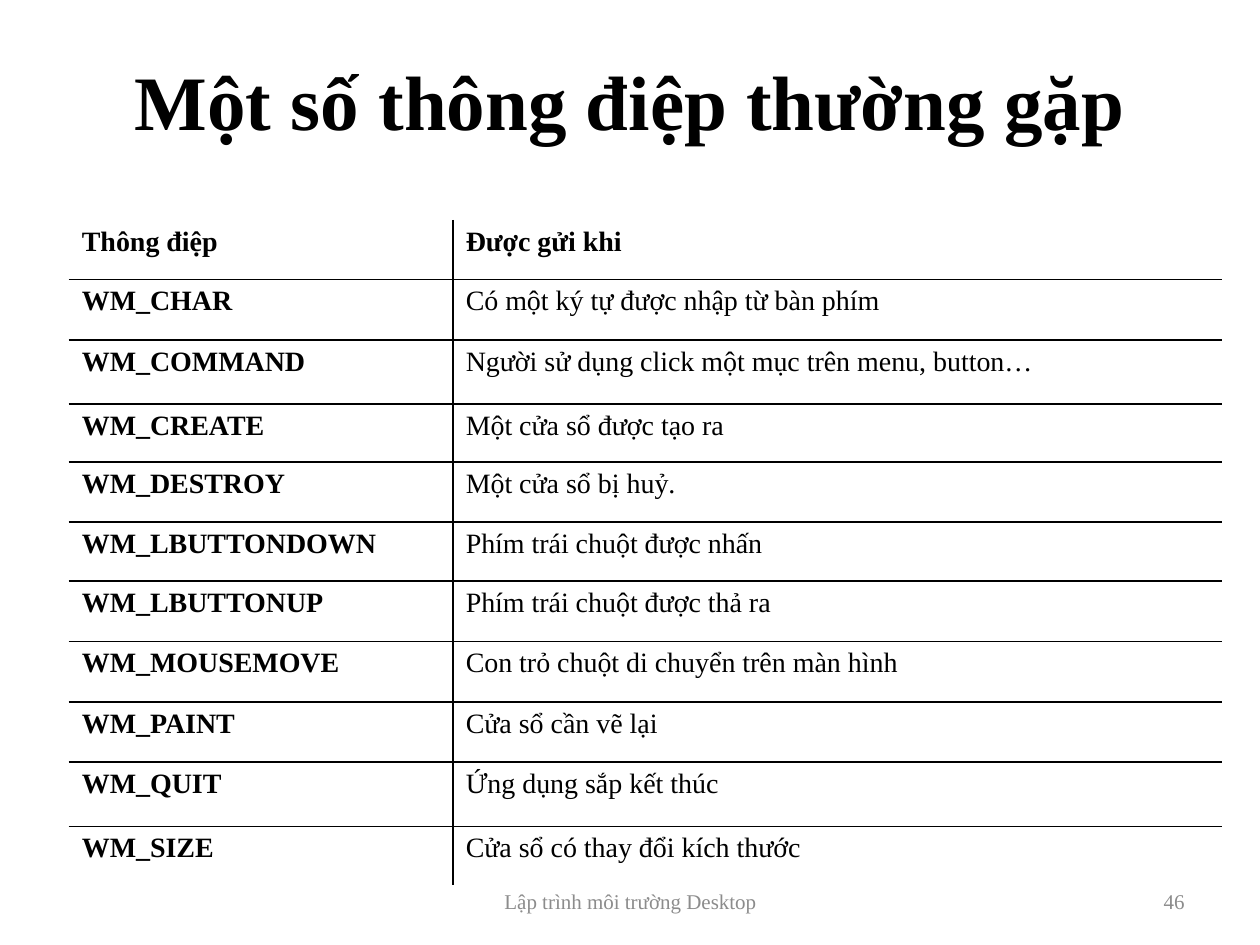
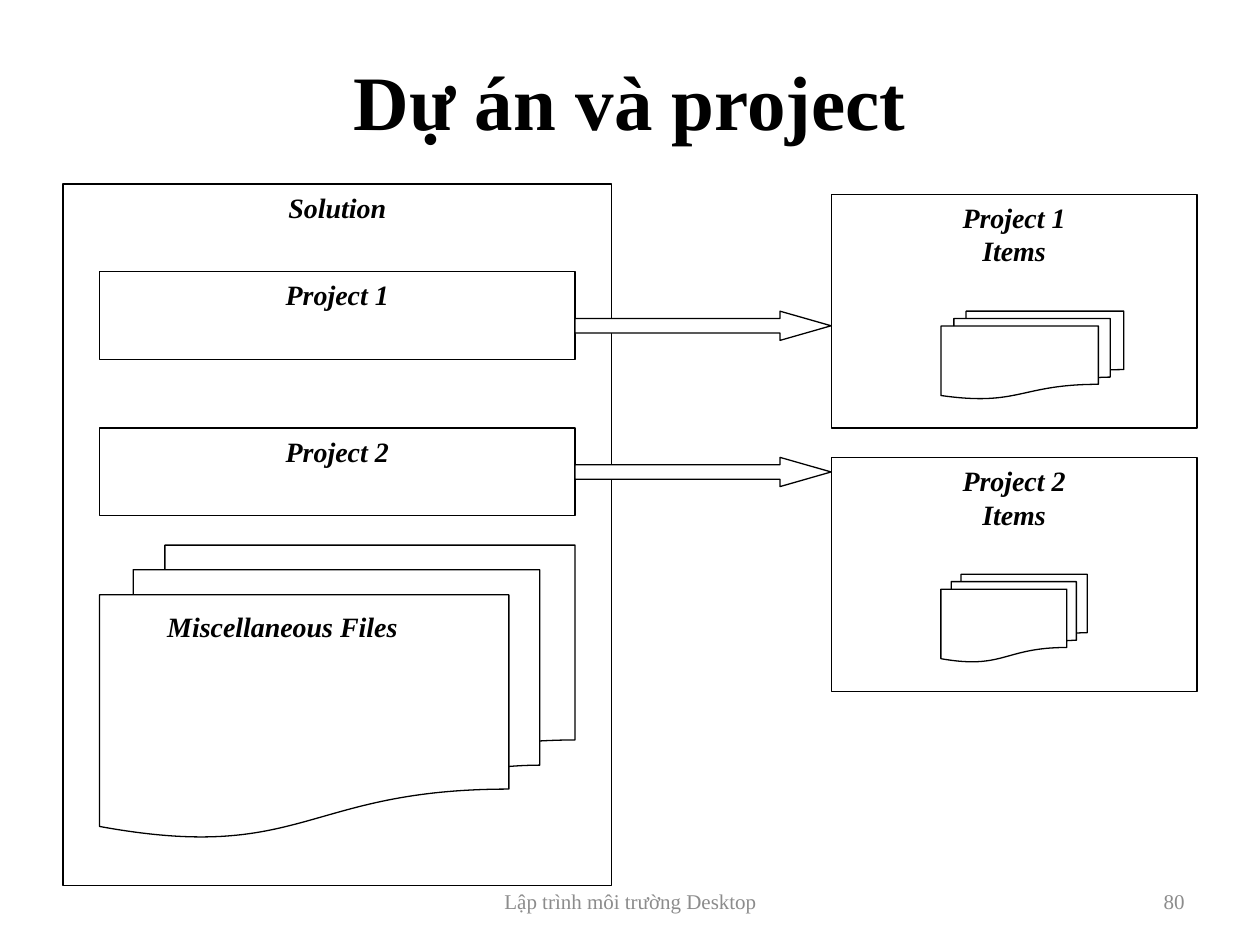
from dataclasses import dataclass

import pptx
import pptx.dml.color
import pptx.enum.shapes
import pptx.enum.text
import pptx.oxml
import pptx.oxml.ns
import pptx.util

SHAPE = pptx.enum.shapes.MSO_SHAPE
ALIGN = pptx.enum.text.PP_ALIGN
ANCHOR = pptx.enum.text.MSO_ANCHOR


@dataclass(frozen=True)
class Theme:
    font: str = "Times New Roman"
    ink: str = "000000"
    paper: str = "FFFFFF"
    muted: str = "8C8C8C"
    title_size: float = 44
    body_size: float = 16
    footer_size: float = 12
    outline: float = 0.75
    rule: float = 1


THEME = Theme()


@dataclass(frozen=True)
class Box:
    """A rectangle in inches, divided into columns and rows."""
    left: float
    top: float
    width: float
    height: float
    columns: float = 1
    rows: float = 1

    def area(self, column, row, across, down, columns=None, rows=None):
        unit_x, unit_y = self.width / self.columns, self.height / self.rows
        return Box(self.left + column * unit_x, self.top + row * unit_y,
                   across * unit_x, down * unit_y, columns or across, rows or down)

    def place(self):
        return [pptx.util.Inches(length)
                for length in (self.left, self.top, self.width, self.height)]


PAGE = Box(0, 0, 10, 7.5, columns=100, rows=75)
TITLE_BOX = PAGE.area(5, 1.7, 90, 12.5)
FOOTER_BOX = PAGE.area(34.2, 69.5, 31.7, 4)
NUMBER_BOX = PAGE.area(71.7, 69.5, 23.3, 4)
TABLE_BOX = PAGE.area(5.5, 17.5, 91.4, 52.8)
DIAGRAM_BOX = PAGE.area(5, 14.6, 90, 55.7, columns=31, rows=24)

FOOTER = "Lập trình môi trường Desktop"
COLUMN_SHARES = [1, 2]
MESSAGES = [  # row height share, message, when it is sent
    (47, "Thông điệp", "Được gửi khi"),
    (48, "WM_CHAR", "Có một ký tự được nhập từ bàn phím"),
    (51, "WM_COMMAND", "Người sử dụng click một mục trên menu, button…"),
    (46, "WM_CREATE", "Một cửa sổ được tạo ra"),
    (48, "WM_DESTROY", "Một cửa sổ bị huỷ."),
    (47, "WM_LBUTTONDOWN", "Phím trái chuột được nhấn"),
    (48, "WM_LBUTTONUP", "Phím trái chuột được thả ra"),
    (48, "WM_MOUSEMOVE", "Con trỏ chuột di chuyển trên màn hình"),
    (48, "WM_PAINT", "Cửa sổ cần vẽ lại"),
    (51, "WM_QUIT", "Ứng dụng sắp kết thúc"),
    (47, "WM_SIZE", "Cửa sổ có thay đổi kích thước"),
]


def rgb(value):
    return pptx.dml.color.RGBColor.from_string(value)


def write(frame, text, size=THEME.body_size, color=THEME.ink, bold=False,
          italic=False, align=ALIGN.CENTER, anchor=ANCHOR.TOP):
    """Fill a text frame, one paragraph for each line of text."""
    frame.word_wrap = True
    frame.vertical_anchor = anchor
    frame.text = text
    for paragraph in frame.paragraphs:
        paragraph.alignment = align
        font = paragraph.font
        font.name, font.size = THEME.font, pptx.util.Pt(size)
        font.bold, font.italic = bold, italic
        font.color.rgb = rgb(color)


def add_text(slide, box, text, **text_format):
    write(slide.shapes.add_textbox(*box.place()).text_frame, text, **text_format)


def add_outlined(slide, kind, box, label=""):
    shape = slide.shapes.add_shape(kind, *box.place())
    shape.shadow.inherit = False
    shape.fill.solid()
    shape.fill.fore_color.rgb = rgb(THEME.paper)
    shape.line.color.rgb = rgb(THEME.ink)
    shape.line.width = pptx.util.Pt(THEME.outline)
    if label:
        write(shape.text_frame, label, bold=True, italic=True)
    return shape


def add_slide(presentation, title, number):
    """Slide with the shared title and footer."""
    slide = presentation.slides.add_slide(presentation.slide_layouts[5])
    heading = slide.shapes.title
    heading.left, heading.top, heading.width, heading.height = TITLE_BOX.place()
    write(heading.text_frame, title, size=THEME.title_size, bold=True,
          anchor=ANCHOR.MIDDLE)
    for box, text, align in ((FOOTER_BOX, FOOTER, ALIGN.CENTER),
                             (NUMBER_BOX, str(number), ALIGN.RIGHT)):
        add_text(slide, box, text, size=THEME.footer_size, color=THEME.muted,
                 align=align, anchor=ANCHOR.MIDDLE)
    return slide


def rule_cell(cell, sides):
    """Draw rules on the named sides: L, R, T, B in that order."""
    properties = cell._tc.get_or_add_tcPr()
    for position, side in enumerate(sides):
        properties.insert(position, pptx.oxml.parse_xml(
            f'<a:ln{side} {pptx.oxml.ns.nsdecls("a")} w="{pptx.util.Pt(THEME.rule)}">'
            f'<a:solidFill><a:srgbClr val="{THEME.ink}"/></a:solidFill></a:ln{side}>'))


def add_message_table(slide, box):
    last_row = len(MESSAGES) - 1
    table = slide.shapes.add_table(len(MESSAGES), 2, *box.place()).table
    table.first_row = table.horz_banding = False
    for column, share in zip(table.columns, COLUMN_SHARES):
        column.width = pptx.util.Inches(box.width * share / sum(COLUMN_SHARES))
    total_height = sum(height for height, *_ in MESSAGES)
    for row, (height, *texts) in enumerate(MESSAGES):
        table.rows[row].height = pptx.util.Inches(box.height * height / total_height)
        for column, text in enumerate(texts):
            cell = table.cell(row, column)
            cell.fill.background()
            write(cell.text_frame, text, bold=row == 0 or column == 0,
                  align=ALIGN.JUSTIFY if row else ALIGN.LEFT)
            # Only the inner grid is ruled
            rule_cell(cell, ("R" if column == 0 else "L")
                      + ("T" if row > 0 else "") + ("B" if row < last_row else ""))


def add_solution(slide, box):
    """Solution panel with its projects and loose files."""
    add_outlined(slide, SHAPE.RECTANGLE, box, "Solution")
    for row, name in ((3, "Project 1"), (8.35, "Project 2")):
        add_outlined(slide, SHAPE.RECTANGLE, box.area(1, row, 13, 3), name)
    add_outlined(slide, SHAPE.FLOWCHART_MULTIDOCUMENT, box.area(1, 12.35, 13, 10))
    add_text(slide, box.area(1, 14.35, 10, 4), "Miscellaneous Files",
             bold=True, italic=True)


def add_project_items(slide, box, name, stack_width):
    """Panel of one project's items, with its stack of files."""
    add_outlined(slide, SHAPE.RECTANGLE, box, f"{name}\nItems")
    add_outlined(slide, SHAPE.FLOWCHART_MULTIDOCUMENT, box.area(3, 4, stack_width, 3))


def add_project_diagram(slide, box):
    add_solution(slide, box.area(0, 0, 15, 24))
    for name, panel_row, stack_width, arrow_row in (("Project 1", 0.35, 5, 4.35),
                                                    ("Project 2", 9.35, 4, 9.35)):
        add_project_items(slide, box.area(21, panel_row, 10, 8), name, stack_width)
        arrow = add_outlined(slide, SHAPE.RIGHT_ARROW, box.area(14, arrow_row, 7, 1))
        arrow.adjustments[0], arrow.adjustments[1] = 0.5, 1.75


def main():
    presentation = pptx.Presentation()
    presentation.slide_width = pptx.util.Inches(PAGE.width)
    presentation.slide_height = pptx.util.Inches(PAGE.height)

    # Common messages
    slide = add_slide(presentation, "Một số thông điệp thường gặp", 46)
    add_message_table(slide, TABLE_BOX)

    # Solution and projects
    slide = add_slide(presentation, "Dự án và project", 80)
    add_project_diagram(slide, DIAGRAM_BOX)

    presentation.save("out.pptx")


if __name__ == "__main__":
    main()
